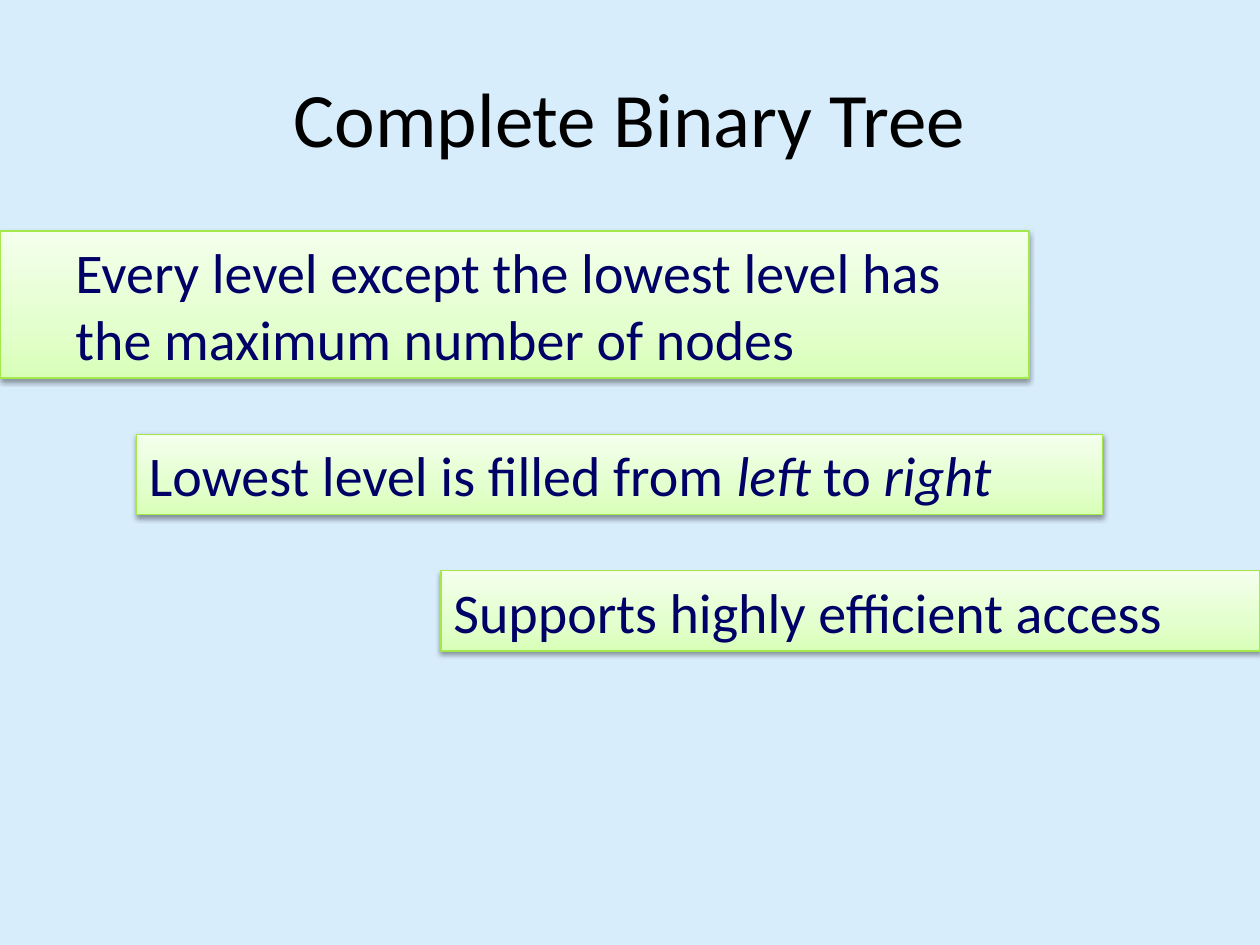
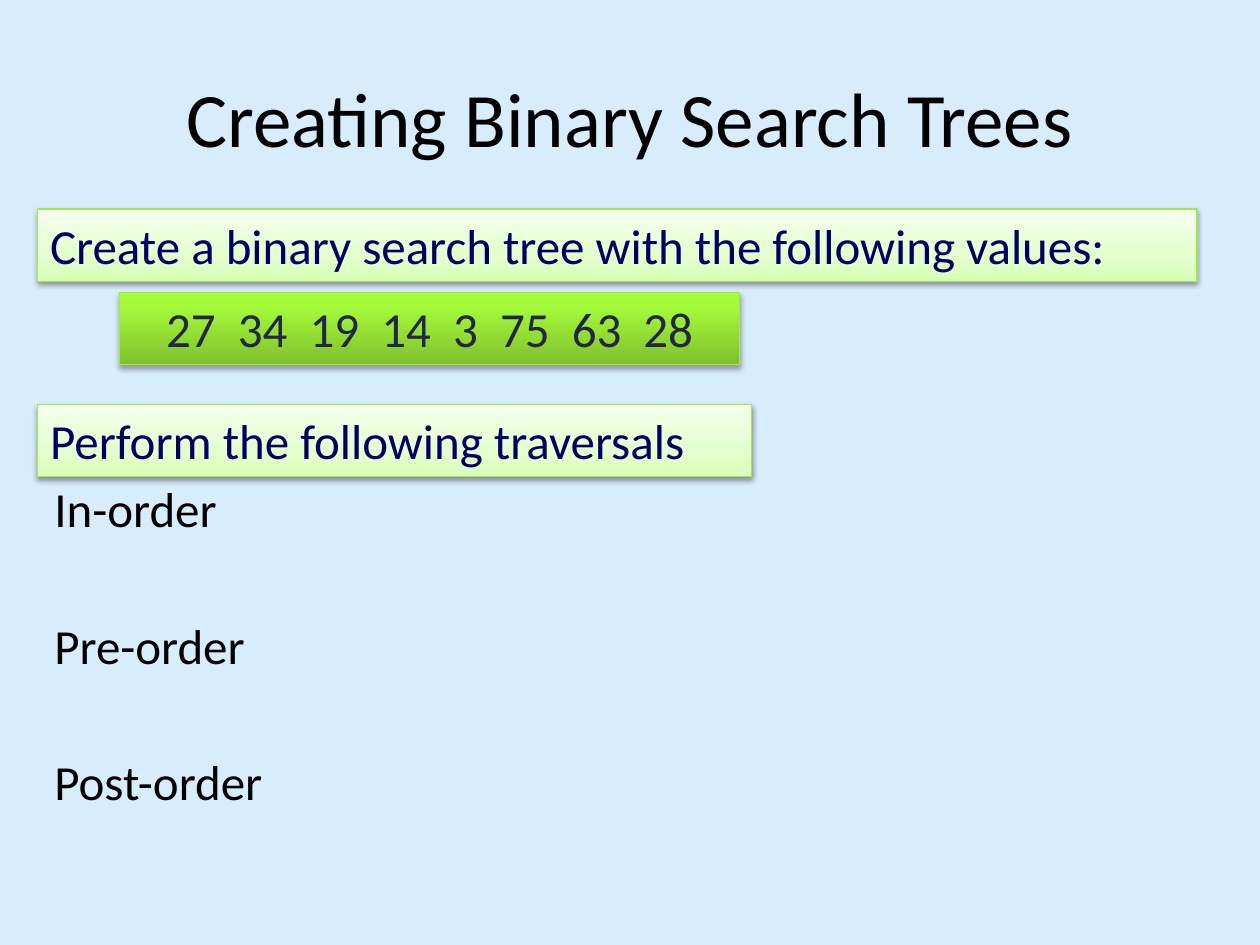
from dataclasses import dataclass
from typing import NamedTuple

from lxml import etree
from pptx import Presentation
from pptx.dml.color import RGBColor
from pptx.enum import shapes, text
from pptx.oxml import ns
from pptx.util import Pt


class Stop(NamedTuple):
    percent: int
    color: str


class Run(NamedTuple):
    text: str
    italic: bool = False
    spacing: float = 0


class Box(NamedTuple):
    left: float
    top: float
    width: float
    height: float


@dataclass(frozen=True)
class BandStyle:
    stops: tuple[Stop, ...]
    ink: str
    shadow_opacity: int
    shadow_distance: float


@dataclass(frozen=True)
class Theme:
    font: str = "Calibri"
    background: str = "D8EDFC"
    black: str = "000000"
    outline: str = "A4E94C"
    title_size: float = 44
    point_size: float = 32
    task_size: float = 28
    point_height: float = 45.8
    task_height: float = 41.2
    statement: BandStyle = BandStyle(
        (Stop(0, "D8FFB8"), Stop(35, "E3FFCD"), Stop(100, "F4FFEC")), "000066", 38, 1.6)
    values: BandStyle = BandStyle(
        (Stop(0, "7FC02C"), Stop(80, "A4F939"), Stop(100, "A6FE36")), "212745", 35, 1.8)


@dataclass(frozen=True)
class Band:
    box: Box
    runs: tuple[Run, ...]
    size: float
    style: BandStyle
    align: text.PP_ALIGN = text.PP_ALIGN.LEFT
    level: int = 0
    indent: float = 0


THEME = Theme()


def write(shape, runs, *, size, color=THEME.black, align=text.PP_ALIGN.LEFT,
          anchor=text.MSO_ANCHOR.TOP, wrap=True, level=0, indent=0) -> None:
    frame = shape.text_frame
    frame.word_wrap = wrap
    frame.vertical_anchor = anchor
    paragraph = frame.paragraphs[0]
    paragraph.alignment = align
    paragraph.level = level
    if indent:
        properties = paragraph._p.get_or_add_pPr()
        properties.set("marL", str(Pt(indent)))
        properties.set("indent", "0")
    for part in runs:
        run = paragraph.add_run()
        run.text = part.text
        run.font.name = THEME.font
        run.font.size = Pt(size)
        run.font.italic = part.italic
        run.font.color.rgb = RGBColor.from_string(color)
        if part.spacing:
            run._r.get_or_add_rPr().set("spc", str(round(part.spacing * 100)))


def add_color(parent, color: str):
    return etree.SubElement(parent, ns.qn("a:srgbClr"), val=color)


def paint_gradient(shape, stops: tuple[Stop, ...]) -> None:
    """Fill from bottom to top with any number of stops."""
    shape.fill.gradient()
    shape.fill.gradient_angle = 90
    stop_list = shape._element.spPr.find(".//" + ns.qn("a:gsLst"))
    for preset in list(stop_list):
        stop_list.remove(preset)
    for stop in stops:
        add_color(etree.SubElement(stop_list, ns.qn("a:gs"), pos=str(stop.percent * 1000)),
                  stop.color)


def cast_shadow(shape, style: BandStyle) -> None:
    shape.shadow.inherit = False
    effects = shape._element.spPr.find(ns.qn("a:effectLst"))
    shadow = etree.SubElement(effects, ns.qn("a:outerShdw"), blurRad=str(Pt(3.1)),
                              dist=str(Pt(style.shadow_distance)), dir="5400000",
                              rotWithShape="0")
    etree.SubElement(add_color(shadow, THEME.black), ns.qn("a:alpha"),
                     val=str(style.shadow_opacity * 1000))


def add_band(slide, band: Band) -> None:
    shape = slide.shapes.add_shape(shapes.MSO_SHAPE.RECTANGLE, *map(Pt, band.box))
    paint_gradient(shape, band.style.stops)
    shape.line.color.rgb = RGBColor.from_string(THEME.outline)
    shape.line.width = Pt(0.75)
    cast_shadow(shape, band.style)
    write(shape, band.runs, size=band.size, color=band.style.ink, align=band.align,
          level=band.level, indent=band.indent)


def add_label(slide, box: Box, label: str, **text_format) -> None:
    write(slide.shapes.add_textbox(*map(Pt, box)), [Run(label)], **text_format)


def add_titled_slide(deck, title: str):
    slide = deck.slides.add_slide(deck.slide_layouts[6])
    slide.background.fill.solid()
    slide.background.fill.fore_color.rgb = RGBColor.from_string(THEME.background)
    add_label(slide, Box(36, 21.6, 648, 90), title, size=THEME.title_size,
              align=text.PP_ALIGN.CENTER, anchor=text.MSO_ANCHOR.MIDDLE)
    return slide


def build_complete_tree(deck) -> None:
    slide = add_titled_slide(deck, "Complete Binary Tree")
    first_top, first_height, gap = 132, 84, 32.2
    second_top = first_top + first_height + gap
    third_top = second_top + THEME.point_height + gap
    every_level = Run("Every level except the lowest level has the maximum number of nodes")
    lowest_level = (Run("Lowest level is filled from "), Run("left", italic=True),
                    Run(" to "), Run("right", italic=True))
    access = Run("Supports highly efficient access")
    for band in (
        Band(Box(0, first_top, 588, first_height), (every_level,), THEME.point_size,
             THEME.statement, level=1, indent=36),
        Band(Box(78, second_top, 552, THEME.point_height), lowest_level,
             THEME.point_size, THEME.statement),
        Band(Box(252, third_top, 468, THEME.point_height), (access,),
             THEME.point_size, THEME.statement),
    ):
        add_band(slide, band)


def spaced_values(values: tuple[int, ...], extra: float) -> tuple[Run, ...]:
    """Numbers separated by one space that is widened by extra points."""
    runs = [Run(str(values[0]))]
    for value in values[1:]:
        runs += [Run(" ", spacing=extra), Run(str(value))]
    return tuple(runs)


def build_search_trees(deck) -> None:
    slide = add_titled_slide(deck, "Creating Binary Search Trees")
    values = spaced_values((27, 34, 19, 14, 3, 75, 63, 28), extra=6.33)
    create = Run("Create a binary search tree with the following values:")
    perform = Run("Perform the following traversals")
    height, size = THEME.task_height, THEME.task_size
    for band in (
        Band(Box(21.6, 119.5, 662.4, height), (create,), size, THEME.statement),
        Band(Box(68.4, 167, 354.2, height), values, size, THEME.values,
             align=text.PP_ALIGN.CENTER),
        Band(Box(21.6, 231.2, 407.7, height), (perform,), size, THEME.statement),
    ):
        add_band(slide, band)

    first_top, pitch = 270, 78
    traversals = {"In-order": 108, "Pre-order": 124.6, "Post-order": 135.4}
    for row, (name, width) in enumerate(traversals.items()):
        add_label(slide, Box(24, first_top + row * pitch, width, height), name,
                  size=size, wrap=False)


def main() -> None:
    deck = Presentation()
    deck.slide_width, deck.slide_height = Pt(720), Pt(540)
    build_complete_tree(deck)
    build_search_trees(deck)
    deck.save("out.pptx")


if __name__ == "__main__":
    main()
